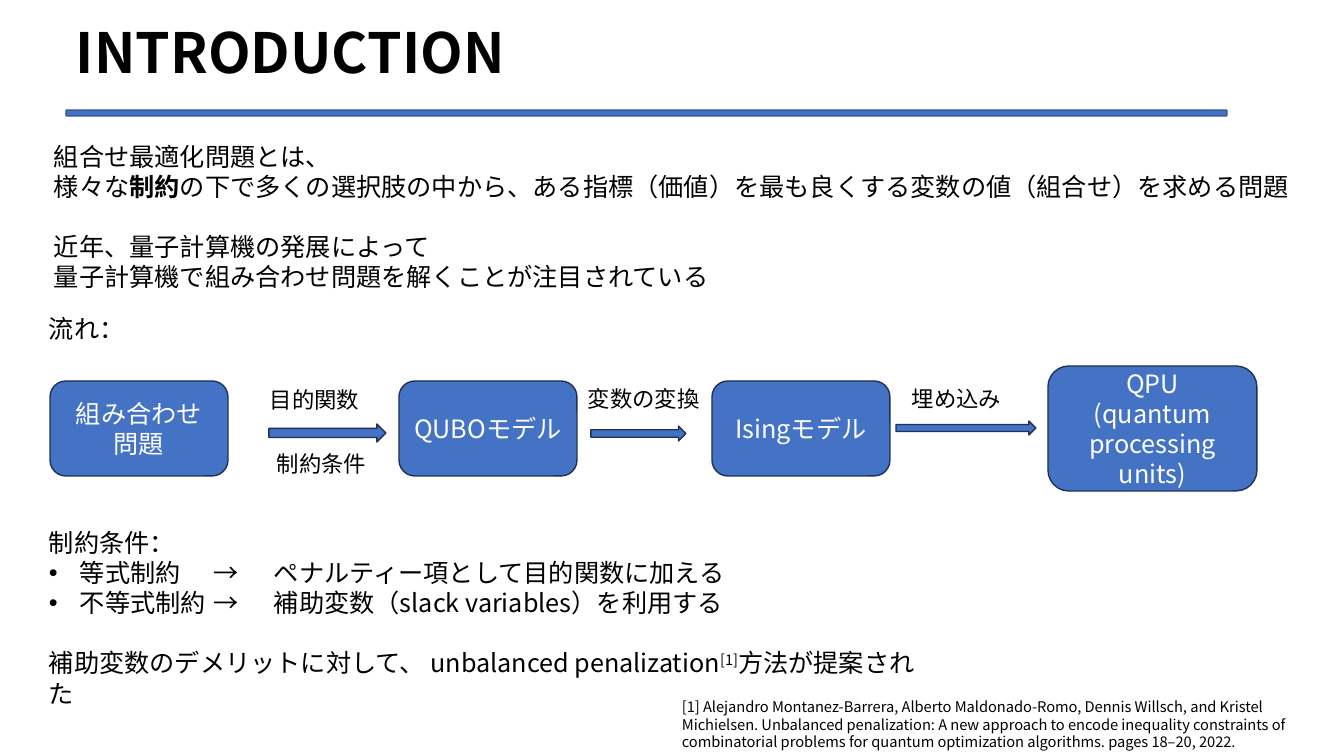
from pptx import Presentation
from pptx.dml.color import RGBColor
from pptx.enum.shapes import MSO_SHAPE
from pptx.enum.text import MSO_ANCHOR, PP_ALIGN
from pptx.oxml.ns import qn
from pptx.util import Emu, Pt
from lxml.etree import SubElement

FONT = "Noto Sans CJK SC"
BLUE, NAVY, BLACK, WHITE = "4472C4", "1E3256", "000000", "FFFFFF"
LINE = 30


def px(count):
    """Turn pixels into EMU."""
    return Emu(round(count * 914400 / 100.8))


def tint(code):
    """Turn a hex string into a colour."""
    return RGBColor.from_string(code)


def add_run(para, text, size, color=BLACK, bold=False, base=0):
    """Add one run of text to a paragraph."""
    run = para.add_run()
    run.text = text
    run.font.size = Pt(size)
    run.font.bold = bold
    run.font.name = FONT
    run.font.color.rgb = tint(color)
    props = run._r.get_or_add_rPr()
    SubElement(props, qn("a:ea")).set("typeface", FONT)
    if base:
        props.set("baseline", str(base * 1000))


def fill_text(frame, lines, size, color=BLACK, align=PP_ALIGN.LEFT, bold=False):
    """Write lines, each a list of runs, and return the paragraphs."""
    paras = []
    for i, line in enumerate(lines):
        para = frame.add_paragraph() if i else frame.paragraphs[0]
        para.alignment = align
        for text, *style in line:
            heavy, base = style or (bold, 0)
            add_run(para, text, size, color, heavy, base)
        paras.append(para)
    return paras


def add_text(slide, box, lines, size, wrap=True, bold=False):
    """Add a text box and return its frame and paragraphs."""
    frame = slide.shapes.add_textbox(*map(px, box)).text_frame
    frame.word_wrap = wrap
    return frame, fill_text(frame, lines, size, bold=bold)


def add_form(slide, kind, box, edge=NAVY):
    """Add a blue preset shape with a thin edge."""
    form = slide.shapes.add_shape(kind, *map(px, box))
    form.shadow.inherit = False
    form.fill.solid()
    form.fill.fore_color.rgb = tint(BLUE)
    form.line.color.rgb = tint(edge)
    form.line.width = Pt(1)
    return form


def add_bullet(para, stops):
    """Give a paragraph a hanging bullet and tab stops."""
    props = para._p.get_or_add_pPr()
    props.set("marL", str(px(31)))
    props.set("indent", str(-px(31)))
    SubElement(props, qn("a:buFont")).set("typeface", "Arial")
    SubElement(props, qn("a:buChar")).set("char", "•")
    tabs = SubElement(props, qn("a:tabLst"))
    for stop in stops:
        tab = SubElement(tabs, qn("a:tab"))
        tab.set("pos", str(px(stop)))
        tab.set("algn", "l")


def add_head(slide, x, y, w):
    """Place the title and the rule below it."""
    add_form(slide, MSO_SHAPE.ROUNDED_RECTANGLE, (x, y + 88, w, 6), "325491")
    frame, paras = add_text(slide, (x, y, w, 67), [[("INTRODUCTION",)]], 39.6, bold=True)
    frame.vertical_anchor = MSO_ANCHOR.MIDDLE
    paras[0].line_spacing = 0.9


def add_intro(slide, x, y, w, h):
    """Place the opening text."""
    lines = [
        [("組合せ最適化問題とは、",)],
        [("様々な",), ("制約", True, 0),
         ("の下で多くの選択肢の中から、ある指標（価値）を最も良くする変数の値（組合せ）を求める問題",)],
        [("近年、量子計算機の発展によって",)],
        [("量子計算機で組み合わせ問題を解くことが注目されている",)],
    ]
    paras = add_text(slide, (x, y, w, h), lines, 18)[1]
    paras[2].space_before = px(LINE)


def add_flow(slide, x, y):
    """Place the flow heading, its steps, arrows and labels."""
    add_text(slide, (x, y, 97, 40), [[("流れ：",)]], 18, False)
    steps = [
        (11, 73, 178, 95, ["組み合わせ問題"]),
        (360, 73, 178, 95, ["QUBOモデル"]),
        (673, 73, 178, 95, ["Isingモデル"]),
        (1009, 58, 209, 125, ["QPU", "(quantum processing units)"]),
    ]
    for left, top, w, h, words in steps:
        form = add_form(slide, MSO_SHAPE.ROUNDED_RECTANGLE, (x + left, y + top, w, h))
        frame = form.text_frame
        frame.word_wrap = True
        frame.vertical_anchor = MSO_ANCHOR.MIDDLE
        fill_text(frame, [[(word,)] for word in words], 18, WHITE, PP_ALIGN.CENTER)
    for left, top, w, h in [(230, 116, 117, 18), (552, 118, 95, 15), (857, 113, 140, 14)]:
        add_form(slide, MSO_SHAPE.RIGHT_ARROW, (x + left, y + top, w, h))
    labels = [(221, 73, 111, "目的関数"), (228, 137, 111, "制約条件"),
              (539, 72, 133, "変数の変換"), (863, 72, 111, "埋め込み")]
    for left, top, w, word in labels:
        add_text(slide, (x + left, y + top, w, 37), [[(word,)]], 16, False)


def add_rules(slide, x, y, w, h):
    """Place the notes on constraints."""
    lines = [
        [("制約条件：",)],
        [("等式制約\t→\tペナルティー項として目的関数に加える",)],
        [("不等式制約\t→\t補助変数（slack variables）を利用する",)],
        [("補助変数のデメリットに対して、 unbalanced penalization",),
         ("[1]", False, 30), ("方法が提案された",)],
    ]
    paras = add_text(slide, (x, y, w, h), lines, 18)[1]
    for para in paras[1:3]:
        add_bullet(para, (165, 225))
    paras[3].space_before = px(LINE)


def add_source(slide, x, y, w, h):
    """Place the reference."""
    words = ("[1] Alejandro Montanez-Barrera, Alberto Maldonado-Romo, Dennis Willsch, and Kristel "
             "Michielsen. Unbalanced penalization: A new approach to encode inequality constraints "
             "of combinatorial problems for quantum optimization algorithms. pages 18–20, 2022.")
    add_text(slide, (x, y, w, h), [[(words,)]], 10.5)


def main():
    """Build and save the slide."""
    deck = Presentation()
    deck.slide_width, deck.slide_height = px(1344), px(756)
    slide = deck.slides.add_slide(deck.slide_layouts[6])
    add_head(slide, 66, 22, 1161)
    add_intro(slide, 44, 136, 1276, 163)
    add_flow(slide, 39, 308)
    add_rules(slide, 39, 522, 907, 163)
    add_source(slide, 672, 693, 672, 63)
    deck.save("out.pptx")


if __name__ == "__main__":
    main()
